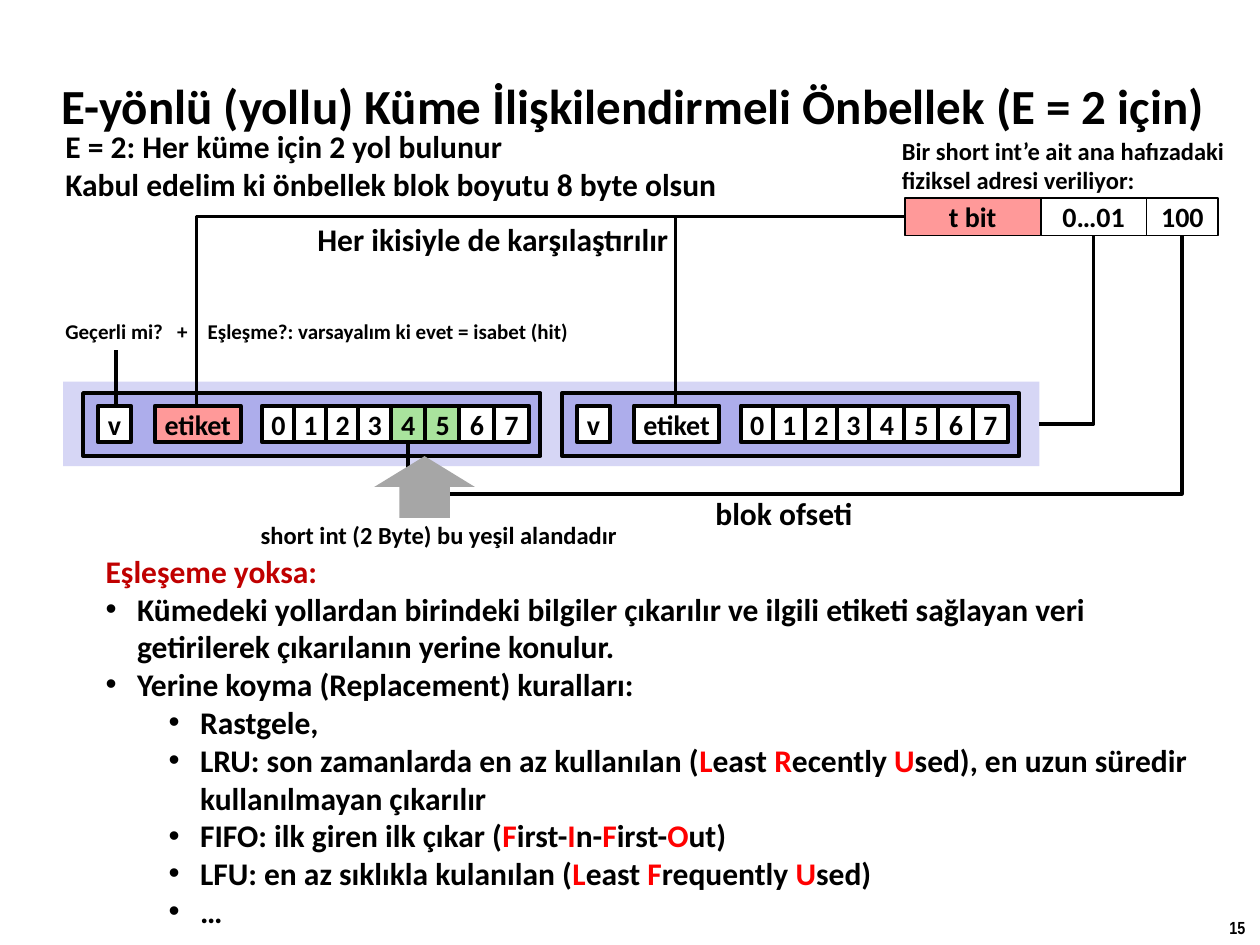
from lxml import etree
from pptx import Presentation
from pptx.dml.color import RGBColor
from pptx.enum.shapes import MSO_CONNECTOR, MSO_SHAPE
from pptx.enum.text import MSO_ANCHOR, MSO_AUTO_SIZE, PP_ALIGN
from pptx.oxml.ns import qn
from pptx.util import Inches, Pt

RECT, ARROW = MSO_SHAPE.RECTANGLE, MSO_SHAPE.UP_ARROW
LINE, ELBOW = MSO_CONNECTOR.STRAIGHT, MSO_CONNECTOR.ELBOW
MIDDLE, TOP = MSO_ANCHOR.MIDDLE, MSO_ANCHOR.TOP
LEFT, CENTER = PP_ALIGN.LEFT, PP_ALIGN.CENTER
NONE = MSO_AUTO_SIZE.NONE
FONT = "Calibri"
HEX = {
    "ink": "000000", "white": "FFFFFF", "tag": "FF9999", "hit": "A9E39D",
    "set": "D6D6F5", "way": "ADADEB", "arrow": "A6A6A6",
    "head": "C00000", "mark": "FF0000",
}
# Asterisks enclose the letters that take the mark colour.
RULES = [
    (0, "Kümedeki yollardan birindeki bilgiler çıkarılır ve ilgili etiketi "
        "sağlayan veri getirilerek çıkarılanın yerine konulur."),
    (0, "Yerine koyma (Replacement) kuralları:"),
    (1, "Rastgele,"),
    (1, "LRU: son zamanlarda en az kullanılan (*L*east *R*ecently *U*sed), "
        "en uzun süredir kullanılmayan çıkarılır"),
    (1, "FIFO: ilk giren ilk çıkar (*F*irst-*I*n-*F*irst-*O*ut)"),
    (1, "LFU: en az sıklıkla kulanılan (*L*east *F*requently *U*sed)"),
    (1, "…"),
]


def tint(name):
    return RGBColor.from_string(HEX[name])


def write(para, text, size, color="ink", font=FONT):
    """Add runs, switching to the mark colour between asterisks."""
    for i, part in enumerate(text.split("*")):
        if part:
            run = para.add_run()
            run.text = part
            run.font.name, run.font.size, run.font.bold = font, Pt(size), True
            run.font.color.rgb = tint("mark" if i % 2 else color)


def bullet(para, level):
    para.level = level
    props = para._p.get_or_add_pPr()
    props.set("marL", str(Inches(0.25 + 0.5 * level)))
    props.set("indent", str(Inches(-0.25)))
    etree.SubElement(props, qn("a:buFont")).set("typeface", "Arial")
    etree.SubElement(props, qn("a:buChar")).set("char", "•")


def label(slide, box, lines, size, wrap=False, font=FONT, color="ink"):
    frame = slide.shapes.add_textbox(*map(Inches, box)).text_frame
    frame.word_wrap = wrap
    for i, line in enumerate(lines):
        para = frame.add_paragraph() if i else frame.paragraphs[0]
        write(para, line, size, color, font)
    return frame


def block(slide, box, fill, width=0, text="", kind=RECT):
    shape = slide.shapes.add_shape(kind, *map(Inches, box))
    shape.shadow.inherit = False
    shape.fill.solid()
    shape.fill.fore_color.rgb = tint(fill)
    if width:
        shape.line.color.rgb = tint("ink")
        shape.line.width = Pt(width)
    else:
        shape.line.fill.background()
    if text:
        frame = shape.text_frame
        frame.word_wrap = False
        frame.vertical_anchor = MIDDLE
        frame.margin_top = frame.margin_bottom = 0
        frame.paragraphs[0].alignment = CENTER
        write(frame.paragraphs[0], text, 16)


def wire(slide, start, end, kind=LINE):
    link = slide.shapes.add_connector(kind, *map(Inches, start + end))
    link.line.color.rgb = tint("ink")
    link.line.width = Pt(2)
    etree.SubElement(link._element.spPr, qn("a:effectLst"))
    return link


def corner(slide, start, end):
    """Run level from start, then upright to end."""
    link = wire(slide, start, end, ELBOW)
    link._element.spPr.find(qn("a:prstGeom")).set("prst", "bentConnector2")


def loop(slide, start, end, low):
    """Drop from start to the level low, run level, then rise to end."""
    (ax, ay), (bx, by) = start, end
    cx, cy = (ax + bx) / 2, (ay + by) / 2
    w, h = by - ay, ax - bx
    link = wire(slide, (cx - w / 2, cy - h / 2), (cx + w / 2, cy + h / 2), ELBOW)
    props = link._element.spPr
    props.find(qn("a:xfrm")).set("rot", str(90 * 60000))
    guides = props.find(qn("a:prstGeom")).find(qn("a:avLst"))
    guide = etree.SubElement(guides, qn("a:gd"))
    guide.set("name", "adj1")
    guide.set("fmla", f"val {round((low - ay) / w * 100000)}")


def title(slide, box):
    shape = slide.shapes.title
    shape.left, shape.top, shape.width, shape.height = map(Inches, box)
    frame = shape.text_frame
    frame.auto_size = NONE
    frame.word_wrap = True
    frame.vertical_anchor = MIDDLE
    frame.paragraphs[0].alignment = LEFT
    write(frame.paragraphs[0],
          "E-yönlü (yollu) Küme İlişkilendirmeli Önbellek (E = 2 için)", 28)


def address(slide, box):
    x, y, w, h = box
    label(slide, (x - 0.12, y - 0.54, w + 0.37, 0.57),
          ["Bir short int’e ait ana hafızadaki fiziksel adresi veriliyor:"],
          14, wrap=True)
    parts = [("t bit", 1.08, "tag"), ("0…01", 0.84, "white"),
             ("100", 0.57, "white")]
    for text, wide, fill in parts:
        block(slide, (x, y, wide, h), fill, 1, text)
        x += wide


def way(slide, box, tag="white", hits=()):
    """Draw one cache line: valid bit, tag and eight bytes."""
    x, y, w, h = box
    top, high = y + h / 5, 0.29
    block(slide, box, "way", 2.25)
    block(slide, (x + 0.12, top, 0.26, high), "white", 2.25, "v")
    block(slide, (x + 0.57, top, 0.68, high), tag, 2.25, "etiket")
    for i in range(8):
        left = 1.42 + 0.255 * min(i, 4) + 0.273 * max(i - 4, 0)
        wide = 0.26 if i < 4 else 0.28
        fill = "hit" if i in hits else "white"
        block(slide, (x + left, top, wide, high), fill, 2.25, str(i))


def cache(slide, box):
    x, y, w, h = box
    block(slide, box, "set")
    way(slide, (x + 0.16, y + 0.09, 3.63, 0.5), "tag", (4, 5))
    way(slide, (x + 3.96, y + 0.09, 3.63, 0.5))


def wires(slide, bits, row):
    x, y, w, h = bits
    left, top, wide, high = row
    corner(slide, (left + wide, top + high / 2), (x + 1.5, y + h))
    for tag in (4.86, 1.06):
        corner(slide, (x, y + h / 2), (left + tag, top + 0.19))
    wire(slide, (left + 0.42, top - 0.25), (left + 0.42, top + 0.19))
    loop(slide, (x + 2.2, y + h), (left + 2.74, top + 0.48), top + 0.89)


def policy(slide, box):
    frame = label(slide, box, ["Eşleşeme yoksa:"], 18, wrap=True, color="head")
    for level, text in RULES:
        para = frame.add_paragraph()
        bullet(para, level)
        write(para, text, 18)


def main():
    deck = Presentation()
    deck.slide_width, deck.slide_height = Inches(10), Inches(7.5)
    slide = deck.slides.add_slide(deck.slide_layouts[5])
    bits, row = (7.18, 1.57, 2.49, 0.3), (0.5, 3.03, 7.75, 0.67)
    title(slide, (0.39, 0.5, 9.44, 0.67))
    address(slide, bits)
    cache(slide, row)
    wires(slide, bits, row)
    block(slide, (2.97, 3.62, 0.8, 0.49), "arrow", kind=ARROW)
    policy(slide, (0.74, 4.33, 8.84, 3.13))
    label(slide, (0.42, 0.96, 5.41, 0.71),
          ["E = 2: Her küme için 2 yol bulunur",
           "Kabul edelim ki önbellek blok boyutu 8 byte olsun"], 18)
    notes = [
        ((2.42, 1.7, 3.01, 0.4), "Her ikisiyle de karşılaştırılır", 18),
        ((0.42, 2.48, 1.19, 0.3), "Geçerli mi?   +", 12),
        ((1.55, 2.48, 3.09, 0.3),
         "Eşleşme?: varsayalım ki evet = isabet (hit)", 12),
        ((5.58, 3.87, 1.3, 0.4), "blok ofseti", 18),
        ((1.97, 4.08, 3.05, 0.34), "short int (2 Byte) bu yeşil alandadır", 14),
    ]
    for box, text, size in notes:
        label(slide, box, [text], size)
    label(slide, (9.66, 7.23, 0.34, 0.27), ["15"], 10, font="Arial Narrow")
    deck.save("out.pptx")


if __name__ == "__main__":
    main()
